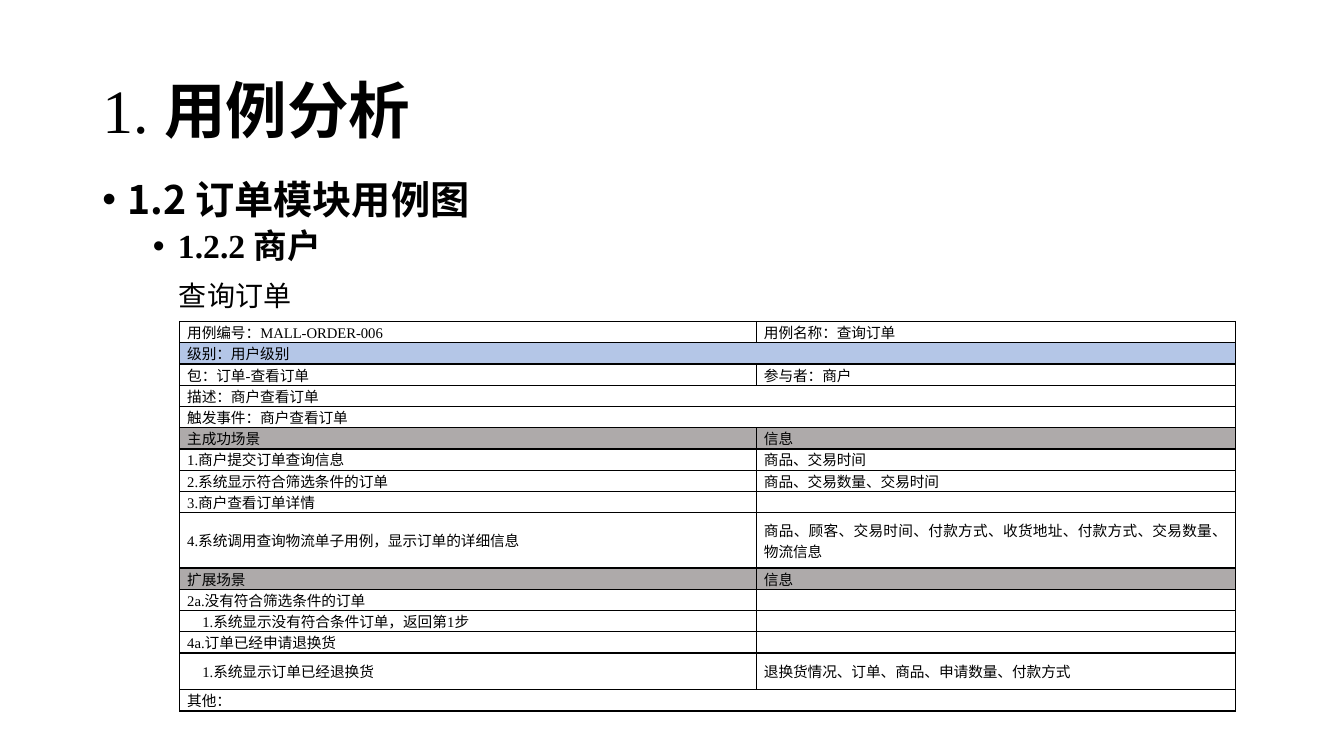
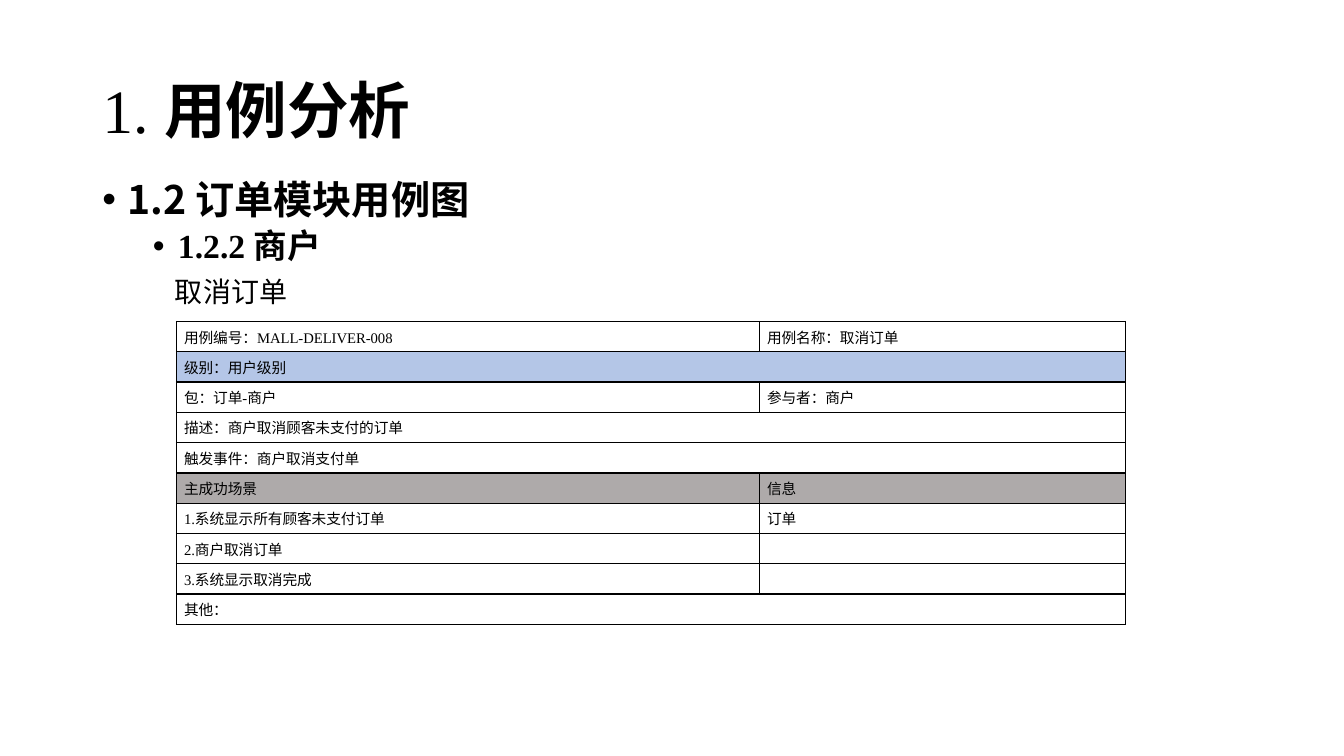
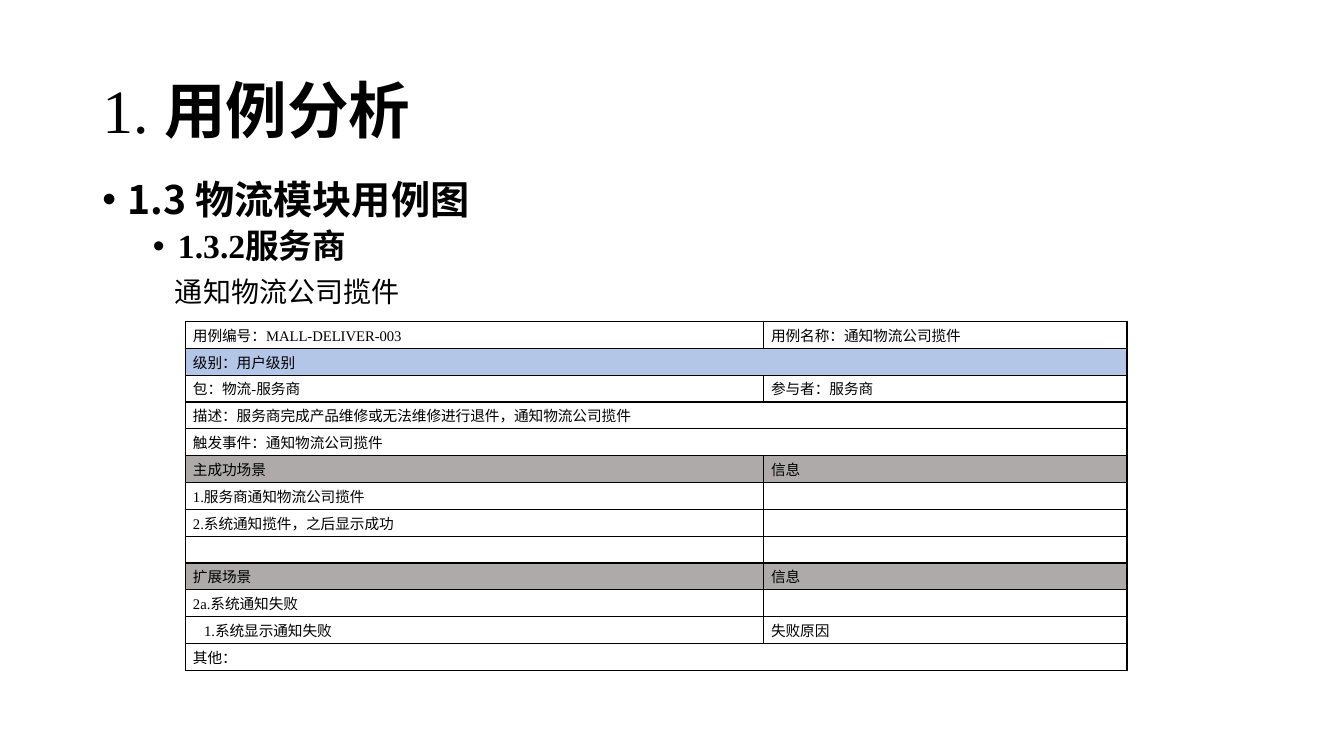
from dataclasses import dataclass

from lxml.etree import SubElement
from pptx import Presentation
from pptx.dml.color import RGBColor
from pptx.enum.text import MSO_ANCHOR as Anchor, PP_ALIGN as Align
from pptx.oxml.ns import qn
from pptx.util import Emu, Inches, Pt

SERIF, SANS = "Times New Roman", "Noto Sans CJK SC"
BLACK, BLUE, GREY = "000000", "B4C6E7", "AEAAAA"
GRID = 100  # columns and rows per slide


def color(code):
    return RGBColor.from_string(code)


@dataclass
class Row:
    cells: tuple
    fill: str = ""
    indent: float = 0
    height: float = 0


# Kinds of table row
def full(text, fill=""):
    return Row((text,), fill)


def pair(left, right="", height=0):
    return Row((left, right), height=height)


def header(text):
    return Row((text, "信息"), GREY)


def substep(left, right="", height=0, indent=0.15):
    return Row((left, right), indent=indent, height=height)


class Deck:
    def __init__(self):
        self.presentation = Presentation()
        self.presentation.slide_width = Inches(13.33)
        self.presentation.slide_height = Inches(7.5)
        self.slide = None

    def x(self, columns):
        return Emu(round(self.presentation.slide_width * columns / GRID))

    def y(self, rows):
        return Emu(round(self.presentation.slide_height * rows / GRID))

    def new_slide(self):
        self.slide = self.presentation.slides.add_slide(self.presentation.slide_layouts[6])

    def style(self, paragraph, size, face=SERIF, bold=False):
        font = paragraph.font
        font.size, font.name, font.bold = Pt(size), face, bold
        font.color.rgb = color(BLACK)

    def indent(self, paragraph, left, bullet=False):
        properties = paragraph._p.get_or_add_pPr()
        hanging = 0.25 if bullet else 0
        properties.set("marL", str(Inches(left)))
        properties.set("indent", str(Inches(-hanging)))
        if bullet:
            SubElement(properties, qn("a:buFont")).set("typeface", "Arial")
            SubElement(properties, qn("a:buChar")).set("char", "•")
        else:
            SubElement(properties, qn("a:buNone"))

    def text_box(self, top, height):
        box = self.slide.shapes.add_textbox(self.x(6.88), self.y(top), self.x(86.27), self.y(height))
        box.text_frame.word_wrap = True
        return box.text_frame

    def title(self, number, text):
        frame = self.text_box(5.33, 19.33)
        frame.vertical_anchor = Anchor.MIDDLE
        paragraph = frame.paragraphs[0]
        paragraph.line_spacing = 0.9
        self.style(paragraph, 44)
        paragraph.add_run().text = number
        run = paragraph.add_run()
        run.text, run.font.bold = text, True

    def outline(self, section, role, case, case_indent, case_space):
        frame = self.text_box(23.2, 63.47)
        lines = [
            (section, 28, SANS, True, 0.25, 0),
            (role, 24, SERIF, True, 0.75, 5),
            (case, 20, SERIF, False, case_indent, case_space),
        ]
        for index, (text, size, face, bold, left, space) in enumerate(lines):
            paragraph = frame.add_paragraph() if index else frame.paragraphs[0]
            paragraph.text = text
            paragraph.line_spacing = 0.9
            paragraph.space_before = Pt(space)
            self.indent(paragraph, left, bullet=bold)
            self.style(paragraph, size, face, bold)

    def cell(self, cell, text, fill, indent):
        cell.margin_left = cell.margin_right = Pt(5.4)
        cell.margin_top = cell.margin_bottom = 0
        cell.vertical_anchor = Anchor.MIDDLE
        paragraph = cell.text_frame.paragraphs[0]
        paragraph.alignment = Align.JUSTIFY
        if text:
            paragraph.text = text
        else:  # keeps an empty row from growing
            SubElement(paragraph._p, qn("a:endParaRPr")).set("sz", "1050")
        if indent:
            self.indent(paragraph, indent)
        self.style(paragraph, 10.5)
        # Borders come before the fill
        properties = cell._tc.get_or_add_tcPr()
        for side in ("lnL", "lnR", "lnT", "lnB"):
            line = SubElement(properties, qn(f"a:{side}"), w=str(Pt(1)))
            SubElement(SubElement(line, qn("a:solidFill")), qn("a:srgbClr")).set("val", BLACK)
        if fill:
            cell.fill.solid()
            cell.fill.fore_color.rgb = color(fill)
        else:
            cell.fill.background()

    def table(self, left, widths, row_height, rows):
        heights = [row.height or row_height for row in rows]
        frame = self.slide.shapes.add_table(
            len(rows), len(widths), self.x(left), self.y(42.53),
            self.x(sum(widths)), self.y(sum(heights)))
        table = frame.table
        table.first_row = table.horz_banding = False
        for column, width in zip(table.columns, widths):
            column.width = self.x(width)
        for index, (row, height) in enumerate(zip(rows, heights)):
            table.rows[index].height = self.y(height)
            for column in range(len(widths)):
                text = row.cells[column] if column < len(row.cells) else ""
                self.cell(table.cell(index, column), text, row.fill, 0 if column else row.indent)
            if len(row.cells) == 1:
                table.cell(index, 0).merge(table.cell(index, len(widths) - 1))

    def use_case(self, section, role, case, code, package, actor, description, trigger,
                 steps, left, widths, row_height, case_indent=0.72, case_space=9):
        self.new_slide()
        self.title("1. ", "用例分析")
        self.outline(section, role, case, case_indent, case_space)
        self.table(left, widths, row_height, [
            pair(f"用例编号：{code}", f"用例名称：{case}"),
            full("级别：用户级别", BLUE),
            pair(f"包：{package}", f"参与者：{actor}"),
            full(f"描述：{description}"),
            full(f"触发事件：{trigger}"),
            header("主成功场景"),
            *steps,
            full("其他："),
        ])


def main():
    deck = Deck()

    # Order query
    deck.use_case(
        "1.2 订单模块用例图", "1.2.2 商户", "查询订单",
        "MALL-ORDER-006", "订单-查看订单", "商户", "商户查看订单", "商户查看订单",
        [
            pair("1.商户提交订单查询信息", "商品、交易时间"),
            pair("2.系统显示符合筛选条件的订单", "商品、交易数量、交易时间"),
            pair("3.商户查看订单详情"),
            pair("4.系统调用查询物流单子用例，显示订单的详细信息",
                 "商品、顾客、交易时间、付款方式、收货地址、付款方式、交易数量、物流信息", height=7.33),
            header("扩展场景"),
            pair("2a.没有符合筛选条件的订单"),
            substep("1.系统显示没有符合条件订单，返回第1步"),
            pair("4a.订单已经申请退换货"),
            substep("1.系统显示订单已经退换货", "退换货情况、订单、商品、申请数量、付款方式", height=4.88),
        ],
        left=13.37, widths=(42.91, 35.63), row_height=2.81, case_indent=0.76, case_space=12)

    # Order cancellation
    deck.use_case(
        "1.2 订单模块用例图", "1.2.2 商户", "取消订单",
        "MALL-DELIVER-008", "订单-商户", "商户", "商户取消顾客未支付的订单", "商户取消支付单",
        [
            pair("1.系统显示所有顾客未支付订单", "订单"),
            pair("2.商户取消订单"),
            pair("3.系统显示取消完成"),
        ],
        left=13.13, widths=(43.38, 27.26), row_height=4.01)

    # Pickup notice
    deck.use_case(
        "1.3 物流模块用例图", "1.3.2服务商", "通知物流公司揽件",
        "MALL-DELIVER-003", "物流-服务商", "服务商",
        "服务商完成产品维修或无法维修进行退件，通知物流公司揽件", "通知物流公司揽件",
        [
            pair("1.服务商通知物流公司揽件"),
            pair("2.系统通知揽件，之后显示成功"),
            pair(""),
            header("扩展场景"),
            pair("2a.系统通知失败"),
            substep("1.系统显示通知失败", "失败原因", indent=0.11),
        ],
        left=13.8, widths=(43.01, 27.04), row_height=3.55)

    deck.presentation.save("out.pptx")


if __name__ == "__main__":
    main()
